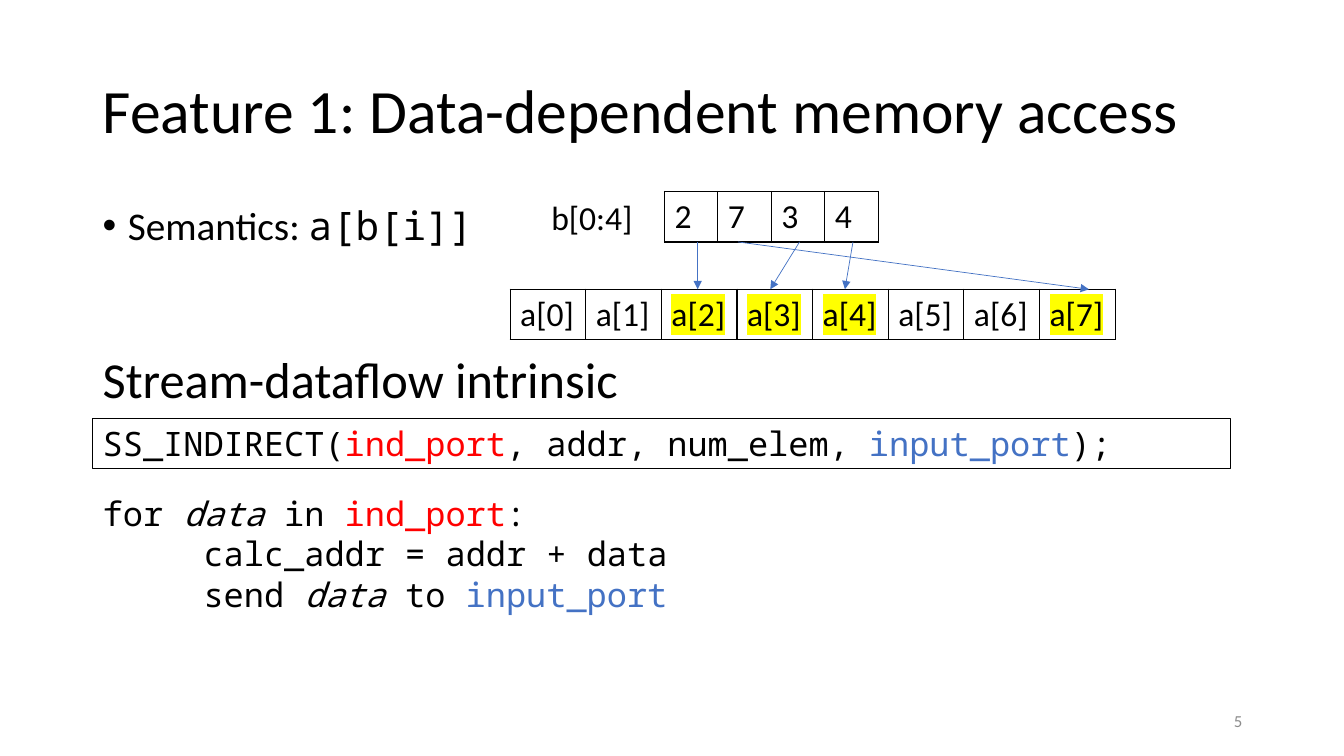
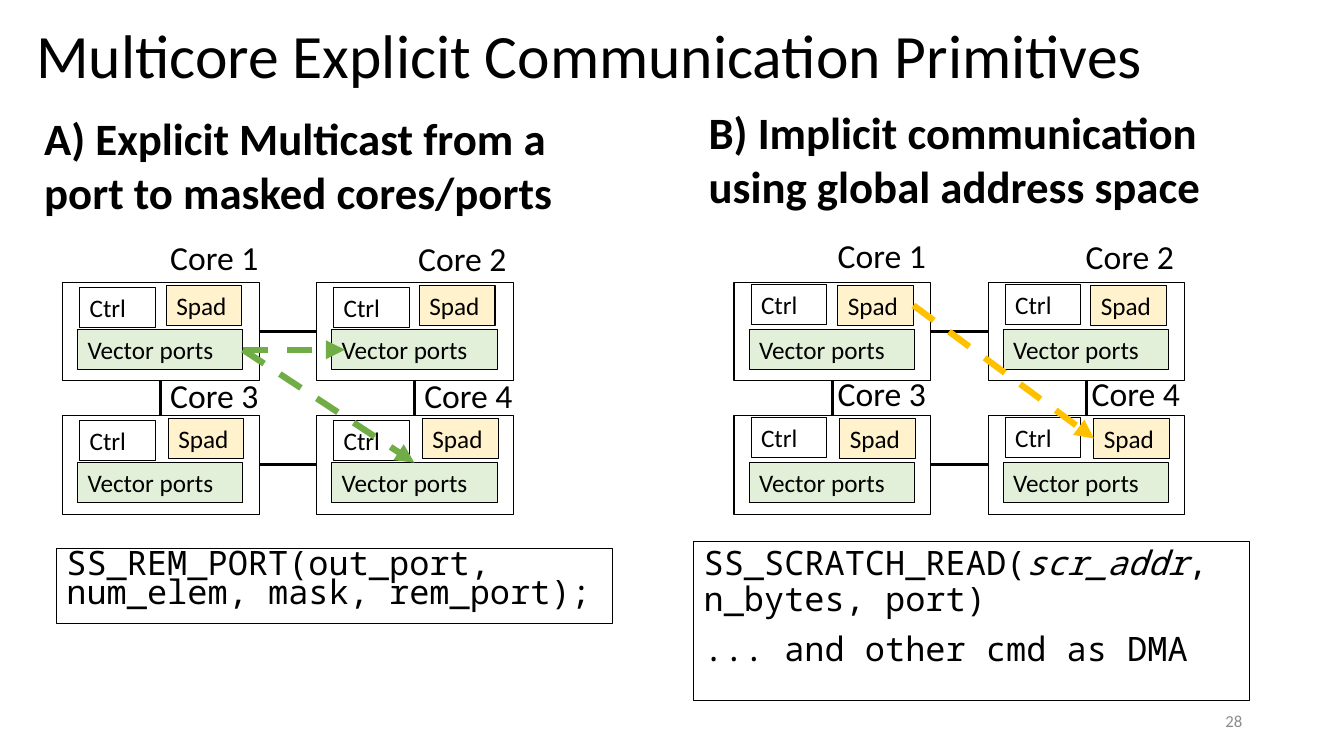
"""Build two slides on stream-dataflow memory access and multicore communication."""
from lxml import etree
from pptx import Presentation
from pptx.dml.color import RGBColor
from pptx.enum.dml import MSO_LINE
from pptx.enum.shapes import MSO_CONNECTOR, MSO_SHAPE
from pptx.enum.text import MSO_ANCHOR, PP_ALIGN
from pptx.oxml.ns import qn
from pptx.util import Inches, Pt

RECTANGLE = MSO_SHAPE.RECTANGLE
STRAIGHT = MSO_CONNECTOR.STRAIGHT
DASH = MSO_LINE.DASH
TOP, MIDDLE = MSO_ANCHOR.TOP, MSO_ANCHOR.MIDDLE
LEFT, RIGHT = PP_ALIGN.LEFT, PP_ALIGN.RIGHT
SITE_TOP, SITE_LEFT, SITE_BOTTOM, SITE_RIGHT = range(4)


class Theme:
    black = RGBColor.from_string("000000")
    white = RGBColor.from_string("FFFFFF")
    red = RGBColor.from_string("FF0000")
    blue = RGBColor.from_string("4472C4")
    gray = RGBColor.from_string("8C8C8C")
    green = RGBColor.from_string("70AD47")
    amber = RGBColor.from_string("FFC000")
    port_fill = RGBColor.from_string("E2F0D9")
    spad_fill = RGBColor.from_string("FFF2CC")
    highlight = "FFFF00"
    sans, mono = "Calibri", "Noto Sans Mono"
    title = {"name": sans, "size": Pt(44), "color": black}
    heading = {"name": sans, "size": Pt(36), "color": black}
    panel_heading = {"name": sans, "size": Pt(32), "color": black, "bold": True}
    body = {"name": sans, "size": Pt(28), "color": black}
    label = {"name": sans, "size": Pt(24), "color": black}
    code = {"name": mono, "size": Pt(24), "color": black}
    unit = {"name": sans, "size": Pt(18), "color": black}
    page = {"name": sans, "size": Pt(12), "color": gray}


def add_box(slide, at, paragraphs, style, layout=None, anchor=TOP, outline=None, fill=None):
    """Add a text box, or a rectangle when it has an outline."""
    place = [Inches(value) for value in at]
    if outline:
        box = slide.shapes.add_shape(RECTANGLE, *place)
        box.shadow.inherit = False
        box.line.color.rgb = Theme.black
        box.line.width = Pt(outline)
        if fill is None:
            box.fill.background()
        else:
            box.fill.solid()
            box.fill.fore_color.rgb = fill
    else:
        box = slide.shapes.add_textbox(*place)
    frame = box.text_frame
    frame.word_wrap = True
    frame.vertical_anchor = anchor
    for index, runs in enumerate(paragraphs):
        paragraph = frame.paragraphs[0] if index == 0 else frame.add_paragraph()
        for key, value in {"alignment": LEFT, **(layout or {})}.items():
            if index or key != "space_before":
                setattr(paragraph, key, value)
        for text, changes in runs:
            run = paragraph.add_run()
            run.text = text
            for key, value in {**style, **changes}.items():
                if key == "color":
                    run.font.color.rgb = value
                else:
                    setattr(run.font, key, value)
    return box


def add_line(slide, color, width, points=(0, 0, 0, 0), begin=None, end=None, arrow=True, dash=None):
    """Add a straight connector between points or joined shape sides."""
    connector = slide.shapes.add_connector(STRAIGHT, *[Inches(value) for value in points])
    if begin:
        connector.begin_connect(*begin)
    if end:
        connector.end_connect(*end)
    connector.line.color.rgb = color
    connector.line.width = Pt(width)
    if dash:
        connector.line.dash_style = dash
    if arrow:
        etree.SubElement(connector.line._get_or_add_ln(), qn("a:tailEnd"), type="triangle")
    etree.SubElement(connector._element.spPr, qn("a:effectLst"))


deck = Presentation()
deck.slide_width, deck.slide_height = Inches(13.33), Inches(7.5)
blank = deck.slide_layouts[6]
slides = []
for title, at, page in (
    ("Feature 1: Data-dependent memory access", (0.92, 0.4, 11.5, 1.45), "5"),
    ("Multicore Explicit Communication Primitives", (0.26, -0.14, 11.91, 1.45), "28"),
):
    slide = deck.slides.add_slide(blank)
    add_box(slide, at, [[(title, {})]], Theme.title, {"line_spacing": 0.9}, MIDDLE)
    add_box(slide, (9.42, 6.95, 3, 0.4), [[(page, {})]], Theme.page, {"alignment": RIGHT}, MIDDLE)
    slides.append(slide)
access, multicore = slides

red, blue, italic = {"color": Theme.red}, {"color": Theme.blue}, {"italic": True}
semantics = add_box(access, (0.92, 2, 11.5, 4.76),
                    [[("Semantics: ", {}), ("a[b[i]]", {"name": Theme.mono})]],
                    Theme.body, {"line_spacing": 0.9})
bullet = semantics.text_frame.paragraphs[0]._p.get_or_add_pPr()
bullet.set("marL", str(Inches(0.25)))
bullet.set("indent", str(Inches(-0.25)))
etree.SubElement(bullet, qn("a:buFont"), typeface="Arial")
etree.SubElement(bullet, qn("a:buChar"), char="•")

add_box(access, (0.92, 3.4, 5.87, 0.71), [[("Stream-dataflow intrinsic", {})]], Theme.heading)
add_box(access, (0.92, 4.15, 11.28, 0.5),
        [[("SS_INDIRECT(", {}), ("ind_port", red), (", addr, num_elem, ", {}),
          ("input_port", blue), (");", {})]],
        Theme.code, outline=0.75)
loop_code = add_box(access, (0.92, 4.84, 11.28, 1.31), [
    [("for ", {}), ("data", italic), (" in ", {}), ("ind_port", red), (":", {})],
    [("calc_addr = addr + data", {})],
    [("send ", {}), ("data", italic), (" to ", {}), ("input_port", blue)],
], Theme.code)
for paragraph in loop_code.text_frame.paragraphs[1:]:
    paragraph._p.get_or_add_pPr().set("marL", str(Inches(1)))
add_box(access, (5.37, 1.9, 1.1, 0.5), [[("b[0:4]", {})]], Theme.label)

indices = (2, 7, 3, 4)
for left, top, cell_width, values, marked in (
    (6.59, 1.9, 0.53, [str(index) for index in indices], ()),
    (5.06, 2.87, 0.75, [f"a[{index}]" for index in range(8)], indices),
):
    array = access.shapes.add_table(1, len(values), Inches(left), Inches(top),
                                    Inches(cell_width * len(values)), Inches(0.5)).table
    array.first_row = array.horz_banding = False
    for position, value in enumerate(values):
        array.columns[position].width = Inches(cell_width)
        cell = array.cell(0, position)
        cell.text = value
        run = cell.text_frame.paragraphs[0].runs[0]
        run.font.name, run.font.size = Theme.sans, Theme.label["size"]
        run.font.color.rgb = Theme.black
        if position in marked:
            highlight = etree.Element(qn("a:highlight"))
            etree.SubElement(highlight, qn("a:srgbClr"), val=Theme.highlight)
            run._r.rPr.find(qn("a:solidFill")).addnext(highlight)
        properties = cell._tc.get_or_add_tcPr()
        for side in ("a:lnL", "a:lnR", "a:lnT", "a:lnB"):
            border = etree.SubElement(properties, qn(side), w=str(Pt(1)))
            solid = etree.SubElement(border, qn("a:solidFill"))
            etree.SubElement(solid, qn("a:srgbClr"), val=str(Theme.black))
        cell.fill.background()

for index_x, element_x in ((6.92, 6.92), (7.32, 10.8), (7.93, 7.64), (8.46, 8.38)):
    add_line(access, Theme.blue, 0.5, (index_x, 2.4, element_x, 2.87))

for at, text in (
    ((0.34, 1.05, 5.32, 1.18), "A) Explicit Multicast from a port to masked cores/ports"),
    ((6.93, 0.99, 5.51, 1.18), "B) Implicit communication using global address space"),
):
    add_box(multicore, at, [[(text, {})]], Theme.panel_heading)
add_box(multicore, (0.56, 5.44, 5.51, 0.74),
        [[("SS_REM_PORT(out_port, num_elem, mask, rem_port);", {})]],
        Theme.code, {"line_spacing": 0.7}, outline=0.5)
add_box(multicore, (6.88, 5.37, 5.51, 1.58),
        [[("SS_SCRATCH_READ(", {}), ("scr_addr", italic), (", n_bytes, port)", {})],
         [("... and other cmd as DMA", {})]],
        Theme.code, {"line_spacing": 0.9, "space_before": Pt(10)}, outline=0.5)

core_layout = (
    (1, 0, 0, 1.03, 0.97, -0.5),
    (2, 1, 0, 1.02, 0.91, -0.49),
    (3, 0, 1, 1.05, 0.97, -0.45),
    (4, 1, 1, 1.05, 0.97, -0.45),
)
panels = []
for panel_left, ctrl_drop, label_shift, label_lift in ((0.62, 0.05, 0, 0), (7.28, 0.02, 0.04, 0.02)):
    cores, ports, spads = {}, {}, {}
    for number, column, row, spad_dx, label_dx, label_dy in core_layout:
        left, top = panel_left + 2.52 * column, 2.8 + 1.32 * row
        cores[number] = add_box(multicore, (left, top, 1.95, 0.98), [], Theme.unit, outline=0.75)
        ports[number], spads[number], _ = [
            add_box(multicore, (left + dx, top + dy, width, 0.4), [[(text, {})]],
                    Theme.unit, outline=0.75, fill=fill)
            for text, dx, dy, width, fill in (
                ("Vector ports", 0.15, 0.47, 1.64, Theme.port_fill),
                ("Spad", spad_dx, 0.03, 0.75, Theme.spad_fill),
                ("Ctrl", 0.17, ctrl_drop, 0.75, Theme.white),
            )
        ]
        add_box(multicore, (left + label_dx - label_shift, top + label_dy - label_lift, 1.1, 0.5),
                [[(f"Core {number}", {})]], Theme.label)
    for first, second, begin_site, end_site in (
        (1, 2, SITE_RIGHT, SITE_LEFT),
        (3, 4, SITE_RIGHT, SITE_LEFT),
        (3, 1, SITE_TOP, SITE_BOTTOM),
        (4, 2, SITE_TOP, SITE_BOTTOM),
    ):
        add_line(multicore, Theme.black, 2.25, begin=(cores[first], begin_site),
                 end=(cores[second], end_site), arrow=False)
    panels.append((ports, spads))

multicast_ports, shared_spads = panels[0][0], panels[1][1]
source_port = (multicast_ports[1], SITE_RIGHT)
add_line(multicore, Theme.green, 4.5, (2.41, 3.47, 3.42, 3.47), begin=source_port, dash=DASH)
add_line(multicore, Theme.green, 4.5, begin=source_port, end=(multicast_ports[4], SITE_TOP), dash=DASH)
add_line(multicore, Theme.amber, 4.5, begin=(shared_spads[1], SITE_RIGHT),
         end=(shared_spads[4], SITE_LEFT), dash=DASH)

deck.save("out.pptx")
